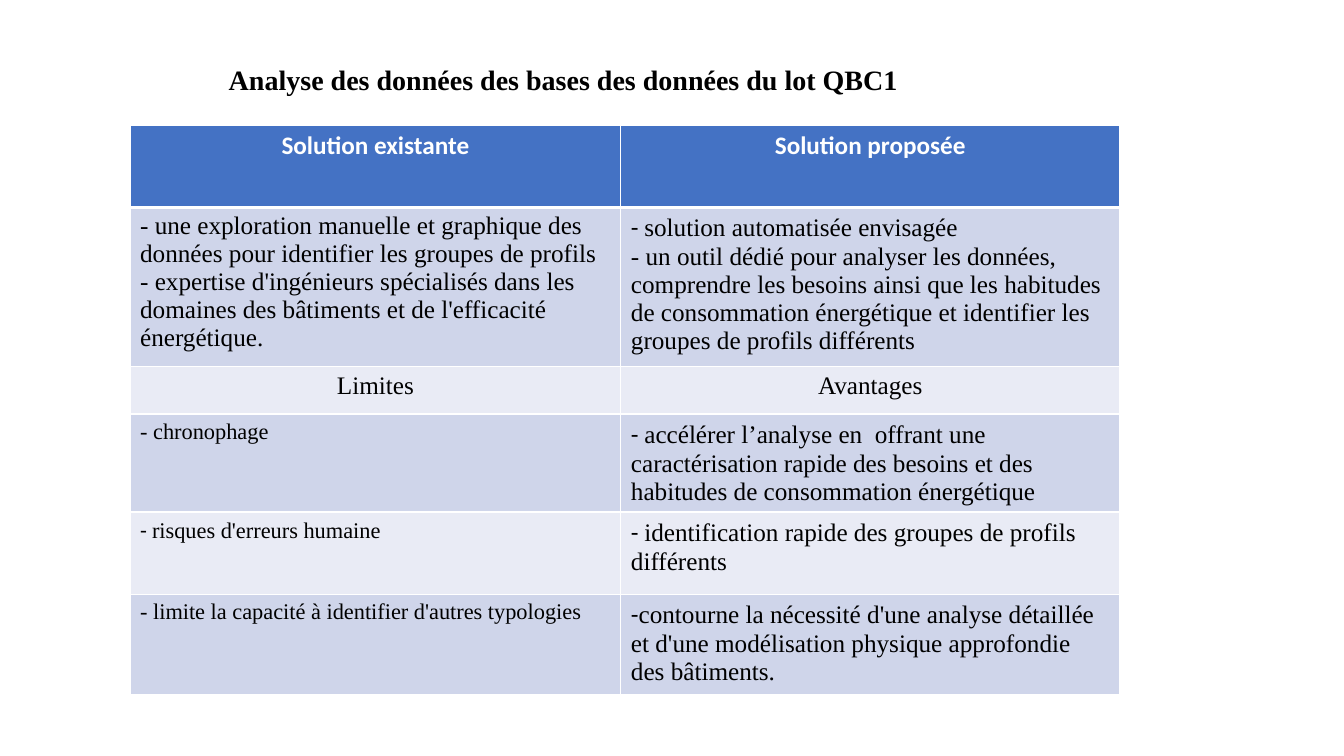
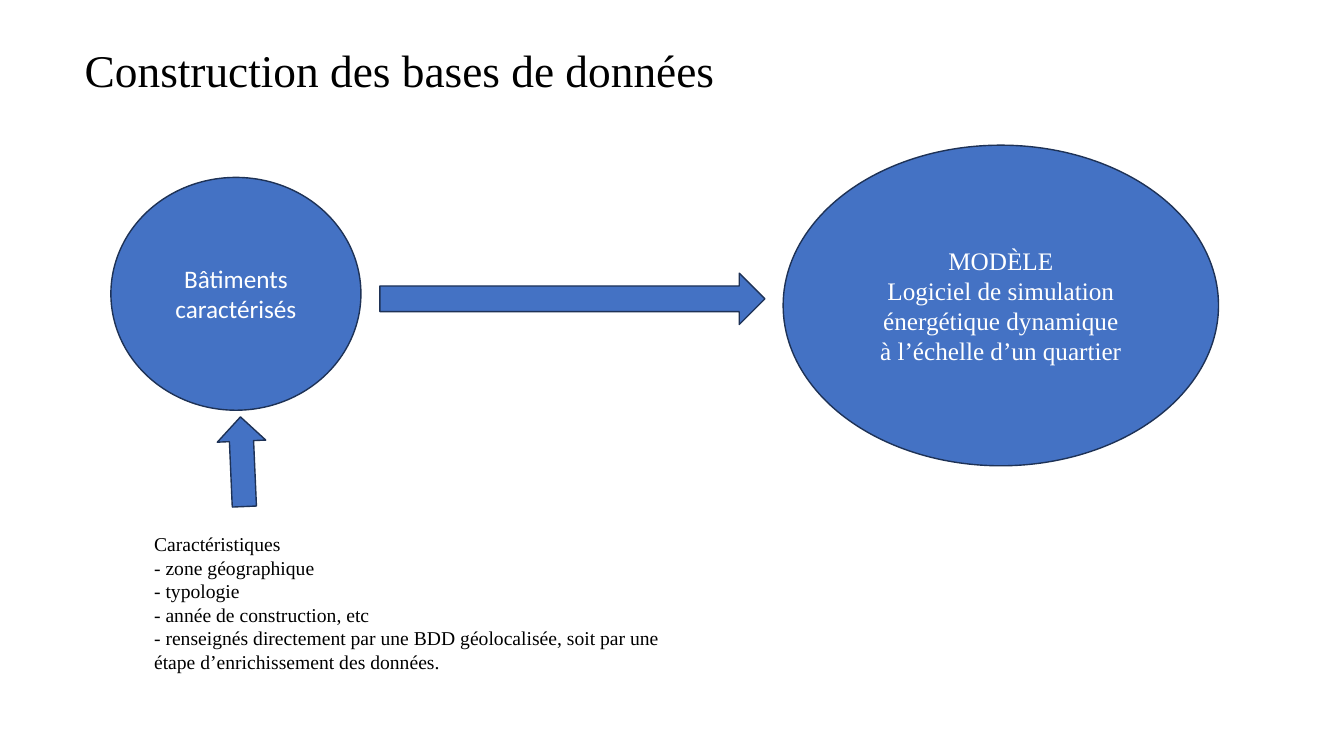
from dataclasses import dataclass

from lxml import etree
from pptx import Presentation
from pptx.dml.color import RGBColor
from pptx.enum.shapes import MSO_SHAPE
from pptx.enum.text import MSO_ANCHOR, MSO_AUTO_SIZE, PP_ALIGN
from pptx.oxml.ns import qn
from pptx.util import Pt

LEFT, CENTER = PP_ALIGN.LEFT, PP_ALIGN.CENTER
TOP, MIDDLE = MSO_ANCHOR.TOP, MSO_ANCHOR.MIDDLE
NO_FIT = MSO_AUTO_SIZE.NONE
ELLIPSE, ARROW = MSO_SHAPE.OVAL, MSO_SHAPE.RIGHT_ARROW
TITLE_ONLY = 5


@dataclass(frozen=True)
class Theme:
    serif: str = "Times New Roman"
    sans: str = "Calibri"
    accent: RGBColor = RGBColor(0x44, 0x72, 0xC4)
    outline: RGBColor = RGBColor(0x1E, 0x32, 0x56)
    band_dark: RGBColor = RGBColor(0xCF, 0xD5, 0xEA)
    band_light: RGBColor = RGBColor(0xE9, 0xEB, 0xF5)
    ink: RGBColor = RGBColor(0, 0, 0)
    white: RGBColor = RGBColor(0xFF, 0xFF, 0xFF)
    heading: float = 32.4
    subheading: float = 20
    body: float = 18
    small: float = 16
    note: float = 14


THEME = Theme()

# Each line is a dash set in the sans face (or nothing) and the text after it
HEADERS = ("Solution existante", "Solution proposée")
SOLUTIONS = (
    [("", "- une exploration manuelle et graphique des données pour "
          "identifier les groupes de profils"),
     ("", "- expertise d'ingénieurs spécialisés dans les domaines des "
          "bâtiments et de l'efficacité énergétique.")],
    [("- ", "solution automatisée envisagée"),
     ("", "- un outil dédié pour analyser les données, comprendre les besoins "
          "ainsi que les habitudes de consommation énergétique et identifier "
          "les groupes de profils différents")],
)
SUBHEADERS = ("Limites", "Avantages")
COMPARISONS = [
    (("", "- chronophage"),
     ("- ", "accélérer l’analyse en  offrant une caractérisation rapide des "
            "besoins et des habitudes de consommation énergétique")),
    (("- ", "risques d'erreurs humaine"),
     ("- ", "identification rapide des groupes de profils différents")),
    (("", "- limite la capacité à identifier d'autres typologies"),
     ("-", "contourne la nécessité d'une analyse détaillée et d'une "
           "modélisation physique approfondie des bâtiments.")),
]
FEATURES = [
    "Caractéristiques",
    "- zone géographique",
    "- typologie",
    "- année de construction, etc",
    "- renseignés directement par une BDD géolocalisée, soit par une étape "
    "d’enrichissement des données.",
]


def write(frame, lines, size, color=THEME.ink, face=THEME.serif,
          align=LEFT, bold=False):
    """Fill a text frame; a line is a string or a (sans dash, text) pair."""
    frame.word_wrap = True
    for index, line in enumerate(lines):
        dash, text = ("", line) if isinstance(line, str) else line
        paragraph = frame.paragraphs[0] if index == 0 else frame.add_paragraph()
        paragraph.alignment = align
        font = paragraph.font
        font.name, font.size, font.bold = face, Pt(size), bold
        font.color.rgb = color
        if dash:
            lead = paragraph.add_run()
            lead.text, lead.font.name = dash, THEME.sans
        paragraph.add_run().text = text


def place_title(slide, text, box, size, anchor, bold=False):
    title = slide.shapes.title
    title.left, title.top, title.width, title.height = map(Pt, box)
    frame = title.text_frame
    frame.auto_size, frame.vertical_anchor = NO_FIT, anchor
    write(frame, [text], size, bold=bold)
    return frame.paragraphs[0]


def add_borders(cell, bottom=1, top=1):
    """White cell edges, placed ahead of the fill."""
    properties = cell._tc.get_or_add_tcPr()
    widths = {"a:lnL": 1, "a:lnR": 1, "a:lnT": top, "a:lnB": bottom}
    for index, (edge, width) in enumerate(widths.items()):
        line = etree.Element(qn(edge), w=str(Pt(width)))
        fill = etree.SubElement(line, qn("a:solidFill"))
        etree.SubElement(fill, qn("a:srgbClr"), val=str(THEME.white))
        properties.insert(index, line)


def add_comparison(slide, box):
    left, top, width, height = box
    column_widths = (350.6, width - 350.6)
    row_heights = (58.3, 113.8, 33.8, 70, 59, height - 334.9)
    table = slide.shapes.add_table(
        len(row_heights), len(column_widths), *map(Pt, box)).table
    for column, column_width in zip(table.columns, column_widths):
        column.width = Pt(column_width)
    for row, row_height in zip(table.rows, row_heights):
        row.height = Pt(row_height)

    # Bands and edges
    for r, row in enumerate(table.rows):
        band = THEME.band_dark if r % 2 else THEME.band_light
        for cell in row.cells:
            cell.fill.solid()
            cell.fill.fore_color.rgb = band if r else THEME.accent
            add_borders(cell, bottom=1 if r else 3, top=3 if r == 1 else 1)

    # Wording, column by column
    for c, item_size in enumerate((THEME.small, THEME.body)):
        frames = [table.cell(r, c).text_frame for r in range(len(row_heights))]
        write(frames[0], [HEADERS[c]], THEME.body, THEME.white, THEME.sans,
              CENTER, True)
        write(frames[1], SOLUTIONS[c], THEME.body)
        write(frames[2], [SUBHEADERS[c]], THEME.body, align=CENTER)
        for frame, pair in zip(frames[3:], COMPARISONS):
            write(frame, [pair[c]], item_size)


def add_node(slide, kind, box, lines=(), face=THEME.serif, rotation=0):
    node = slide.shapes.add_shape(kind, *map(Pt, box))
    node.shadow.inherit = False
    node.rotation = rotation
    node.fill.solid()
    node.fill.fore_color.rgb = THEME.accent
    node.line.color.rgb = THEME.outline
    node.line.width = Pt(1)
    node.text_frame.vertical_anchor = MIDDLE
    write(node.text_frame, lines, THEME.body, THEME.white, face, CENTER)


def add_features(slide, box):
    features = slide.shapes.add_textbox(*map(Pt, box)).text_frame
    features.vertical_anchor = TOP
    write(features, FEATURES, THEME.note)


def analysis_slide(slide):
    place_title(slide, "Analyse des données des bases des données du lot QBC1",
                (156.2, 41, 647.3, 31.7), THEME.subheading, TOP, bold=True)
    add_comparison(slide, (92.9, 89.9, 707, 406.2))


def construction_slide(slide):
    heading = place_title(slide, "Construction des bases de données",
                          (53.3, 30, 676.8, 44), THEME.heading, MIDDLE)
    heading.line_spacing = 0.9

    # Buildings feed the simulation software
    add_node(slide, ELLIPSE, (79.2, 126.7, 178.6, 166.3),
             ["Bâtiments caractérisés"], THEME.sans)
    add_node(slide, ELLIPSE, (559.4, 103.7, 311, 229),
             ["MODÈLE", "Logiciel de simulation énergétique dynamique",
              "à l’échelle d’un quartier"])
    add_node(slide, ARROW, (271.4, 195.1, 275, 36.7))

    # Features describe the buildings
    add_features(slide, (103, 376.6, 405.4, 131))
    add_node(slide, ARROW, (141.1, 312.5, 64.1, 34.6), rotation=267.5)


deck = Presentation()
deck.slide_width, deck.slide_height = Pt(960), Pt(540)
for build in (analysis_slide, construction_slide):
    build(deck.slides.add_slide(deck.slide_layouts[TITLE_ONLY]))
deck.save("out.pptx")
